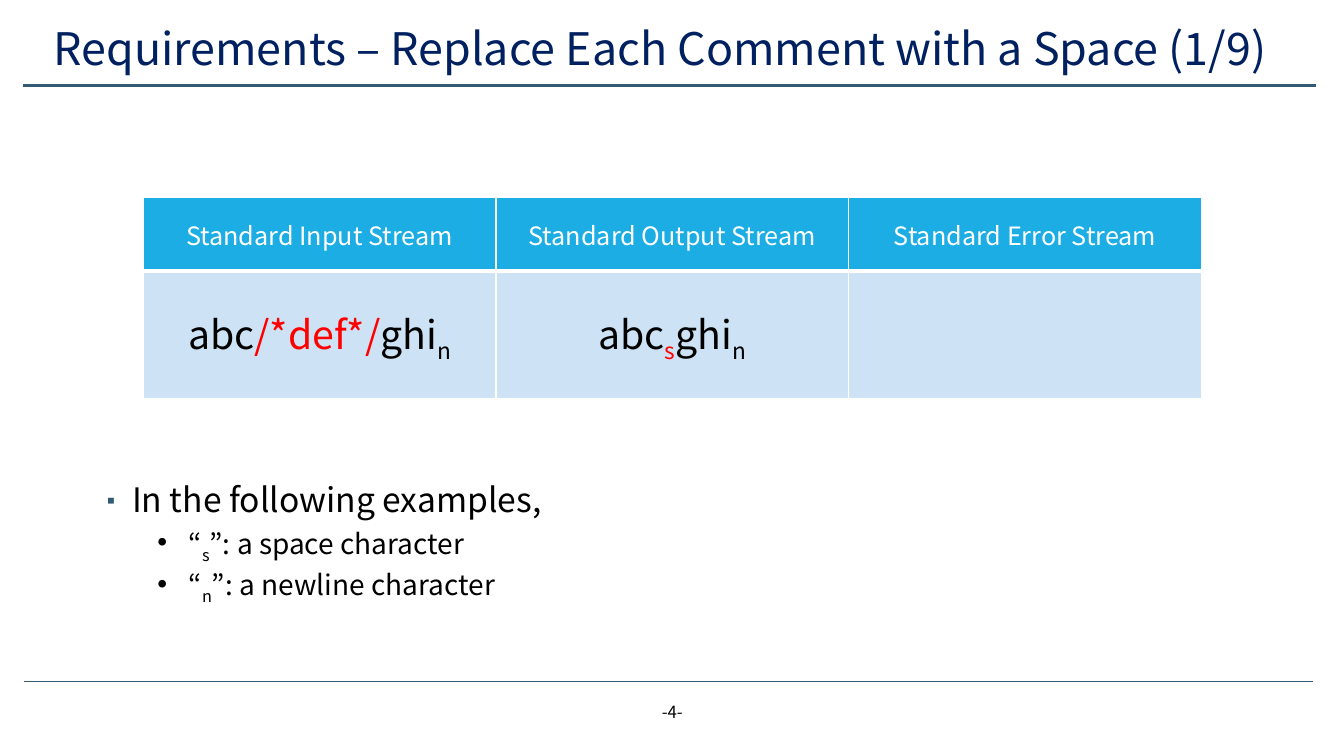
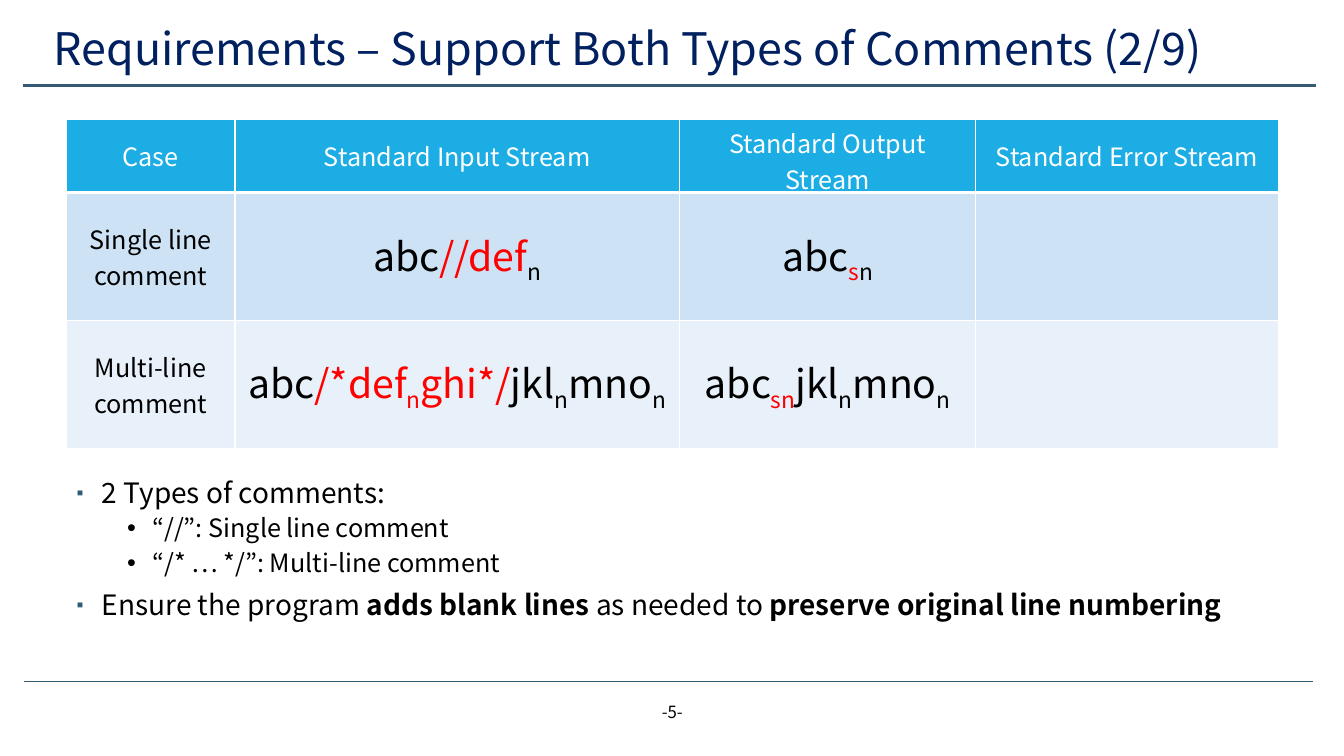
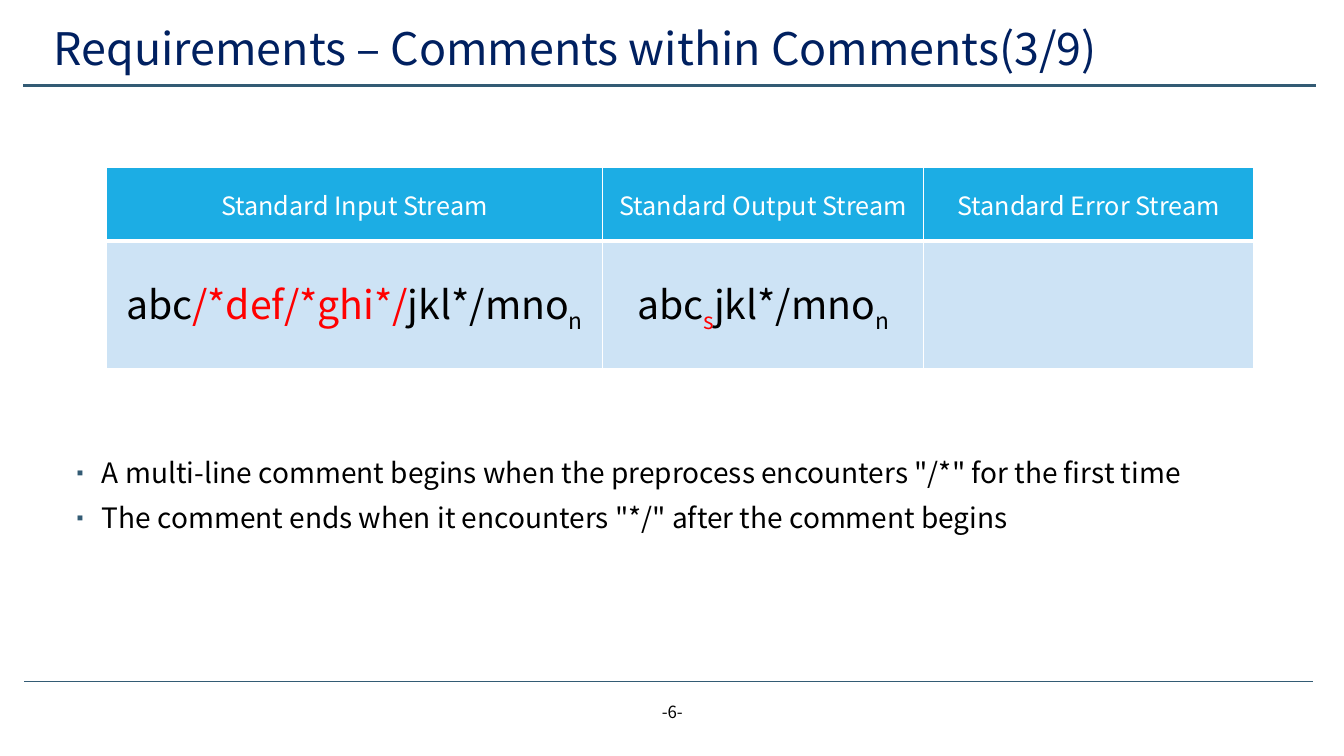
from lxml.etree import SubElement
from pptx import Presentation
from pptx.dml.color import RGBColor
from pptx.enum.shapes import MSO_CONNECTOR
from pptx.enum.text import MSO_ANCHOR, MSO_AUTO_SIZE, PP_ALIGN
from pptx.oxml.ns import qn
from pptx.util import Inches, Pt

# Shared style
FONT = "Noto Sans CJK KR"
NAVY = RGBColor(0x00, 0x20, 0x60)
SLATE = RGBColor(0x33, 0x5B, 0x74)
SKY = RGBColor(0x1C, 0xAD, 0xE4)
BANDS = [RGBColor(0xCD, 0xE3, 0xF5), RGBColor(0xE8, 0xF1, 0xFA)]
RED = RGBColor(0xFF, 0x00, 0x00)
BLACK = RGBColor(0x00, 0x00, 0x00)
WHITE = RGBColor(0xFF, 0xFF, 0xFF)

HEADER_ROW, BODY_ROW = 9.73, 16.93  # percent of slide height
STREAMS = ["Standard Input Stream", "Standard Output Stream", "Standard Error Stream"]
FIRST_PAGE = 4


def red(text, **style):
    return text, dict(color=RED, **style)


def sub(text, **style):
    return text, dict(subscript=True, **style)


def bold(text):
    return text, dict(bold=True)


def add_span(para, text, size=18, color=BLACK, bold=False, subscript=False):
    span = para.add_run()
    span.text = text
    span.font.name = FONT
    span.font.size = Pt(size)
    span.font.bold = bold
    span.font.color.rgb = color
    if subscript:
        span._r.get_or_add_rPr().set("baseline", "-25000")


def add_spans(para, content, **style):
    """Content is a string, or a list of strings and (text, style) pairs."""
    for part in [content] if isinstance(content, str) else content:
        text, extra = (part, {}) if isinstance(part, str) else part
        add_span(para, text, **{**style, **extra})


def add_bullet(para, level):
    props = para._p.get_or_add_pPr()
    props.set("marL", str(Inches(0.75 if level else 0.25)))
    props.set("indent", str(-Inches(0.25)))
    if level == 0:
        color = SubElement(props, qn("a:buClr"))
        SubElement(color, qn("a:srgbClr")).set("val", str(SLATE))
        SubElement(props, qn("a:buSzPct")).set("val", "70000")
    SubElement(props, qn("a:buChar")).set("char", "•" if level else "▪")


def add_borders(cell, top, bottom):
    props = cell._tc.get_or_add_tcPr()
    for side, width in (("L", 1), ("R", 1), ("T", top), ("B", bottom)):
        line = SubElement(props, qn("a:ln" + side))
        line.set("w", str(Pt(width)))
        fill = SubElement(line, qn("a:solidFill"))
        SubElement(fill, qn("a:srgbClr")).set("val", str(WHITE))


class Slides:
    """Holds the deck and the current page; lengths are percent of the slide."""

    def __init__(self):
        self.deck = Presentation()
        self.deck.slide_width = Inches(13.33)
        self.deck.slide_height = Inches(7.5)
        self.page = None

    def x(self, share):
        return int(self.deck.slide_width * share / 100)

    def y(self, share):
        return int(self.deck.slide_height * share / 100)

    def place(self, box, left, top, width, height):
        box.left, box.top = self.x(left), self.y(top)
        box.width, box.height = self.x(width), self.y(height)

    def new_page(self, title):
        self.page = self.deck.slides.add_slide(self.deck.slide_layouts[1])
        self.title(title)
        self.rule(11.33, 1.72, 97.9, 1.75)
        self.rule(90.13, 1.8, 97.72, 0.5)
        self.page_number(FIRST_PAGE + len(self.deck.slides) - 1)

    def title(self, text):
        box = self.page.shapes.title
        self.place(box, 3.23, 2.53, 94.8, 8.4)
        frame = box.text_frame
        frame.auto_size = MSO_AUTO_SIZE.NONE
        frame.vertical_anchor = MSO_ANCHOR.MIDDLE
        para = frame.paragraphs[0]
        para.alignment = PP_ALIGN.LEFT
        para.line_spacing = 0.9
        add_span(para, text, size=32, color=NAVY)

    def rule(self, top, left, right, weight):
        line = self.page.shapes.add_connector(
            MSO_CONNECTOR.STRAIGHT, self.x(left), self.y(top), self.x(right), self.y(top))
        line.line.color.rgb = SLATE
        line.line.width = Pt(weight)
        SubElement(line._element.spPr, qn("a:effectLst"))

    def page_number(self, number):
        box = self.page.shapes.add_textbox(0, 0, 0, 0)
        self.place(box, 38.78, 92.13, 22.5, 5.33)
        box.text_frame.word_wrap = True
        para = box.text_frame.paragraphs[0]
        para.alignment = PP_ALIGN.CENTER
        add_span(para, f"-{number}-", size=12)

    def bullets(self, at, items, sizes):
        """Items are (level, content); sizes gives the text size per level."""
        box = self.page.placeholders[1]
        self.place(box, *at)
        box.fill.solid()
        box.fill.fore_color.rgb = WHITE
        frame = box.text_frame
        frame.auto_size = MSO_AUTO_SIZE.NONE
        frame.vertical_anchor = MSO_ANCHOR.TOP
        for index, (level, content) in enumerate(items):
            para = frame.add_paragraph() if index else frame.paragraphs[0]
            para.level = level
            para.line_spacing = 0.9
            para.space_before = Pt(5 if level else 10)
            add_bullet(para, level)
            add_spans(para, content, size=sizes[level])

    def table(self, left, top, columns, rows):
        """The first row is the header; plain strings are labels, lists are code."""
        heights = [HEADER_ROW] + [BODY_ROW] * (len(rows) - 1)
        table = self.page.shapes.add_table(
            len(rows), len(columns), self.x(left), self.y(top),
            self.x(sum(columns)), self.y(sum(heights))).table
        table.horz_banding = False
        for column, width in zip(table.columns, columns):
            column.width = self.x(width)
        for index, (row, height) in enumerate(zip(table.rows, heights)):
            row.height = self.y(height)
            for cell, content in zip(row.cells, rows[index]):
                self.cell(cell, index, content)

    def cell(self, cell, row, content):
        add_borders(cell, top=3 if row == 1 else 1, bottom=1 if row else 3)
        cell.fill.solid()
        cell.fill.fore_color.rgb = BANDS[(row - 1) % 2] if row else SKY
        cell.vertical_anchor = MSO_ANCHOR.MIDDLE
        para = cell.text_frame.paragraphs[0]
        para.alignment = PP_ALIGN.CENTER
        if content:
            add_spans(para, content, size=18 if isinstance(content, str) else 28,
                      color=BLACK if row else WHITE)


def main():
    slides = Slides()

    # Replacing a comment with a space
    slides.new_page("Requirements – Replace Each Comment with a Space (1/9)")
    slides.bullets((7.2, 63.33, 87.67, 24.8), [
        (0, "In the following examples,"),
        (1, [" “", sub("s"), "”: a space character"]),
        (1, [" “", sub("n"), "”: a newline character"]),
    ], sizes=(24, 20))
    slides.table(10.65, 26.13, [26.25] * 3, [
        STREAMS,
        [["abc", red("/*def*/"), "ghi", sub("n")],
         ["abc", red("s", subscript=True), "ghi", sub("n")],
         ""],
    ])

    # Both types of comments
    slides.new_page("Requirements – Support Both Types of Comments (2/9)")
    slides.bullets((4.95, 62.67, 91.28, 21.73), [
        (0, "2 Types of comments:"),
        (1, "“//”: Single line comment"),
        (1, "“/* … */”: Multi-line comment"),
        (0, ["Ensure the program ", bold("adds blank lines"), " as needed to ",
             bold("preserve original line numbering")]),
    ], sizes=(20, 18))
    slides.table(4.95, 15.73, [12.53, 33.08, 22.05, 22.5], [
        ["Case"] + STREAMS,
        ["Single line comment",
         ["abc", red("//def"), sub("n")],
         ["abc", red("s", subscript=True), sub("n")],
         ""],
        ["Multi-line comment",
         ["abc", red("/*def"), red("n", subscript=True), red("ghi*/"),
          "jkl", sub("n"), "mno", sub("n")],
         ["abc", red("sn", subscript=True), "jkl", sub("n"), "mno", sub("n")],
         ""],
    ])

    # Comments within comments
    slides.new_page("Requirements – Comments within Comments(3/9)")
    slides.bullets((4.95, 60.13, 91.28, 17.6), [
        (0, 'A multi-line comment begins when the preprocess encounters "/*" for the first time'),
        (0, 'The comment ends when it encounters "*/" after the comment begins'),
    ], sizes=(20, 18))
    slides.table(7.88, 22.13, [36.98, 23.85, 24.6], [
        STREAMS,
        [["abc", red("/*def/*ghi*/"), "jkl*/mno", sub("n")],
         ["abc", red("s", subscript=True), "jkl*/mno", sub("n")],
         ""],
    ])

    slides.deck.save("out.pptx")


if __name__ == "__main__":
    main()
